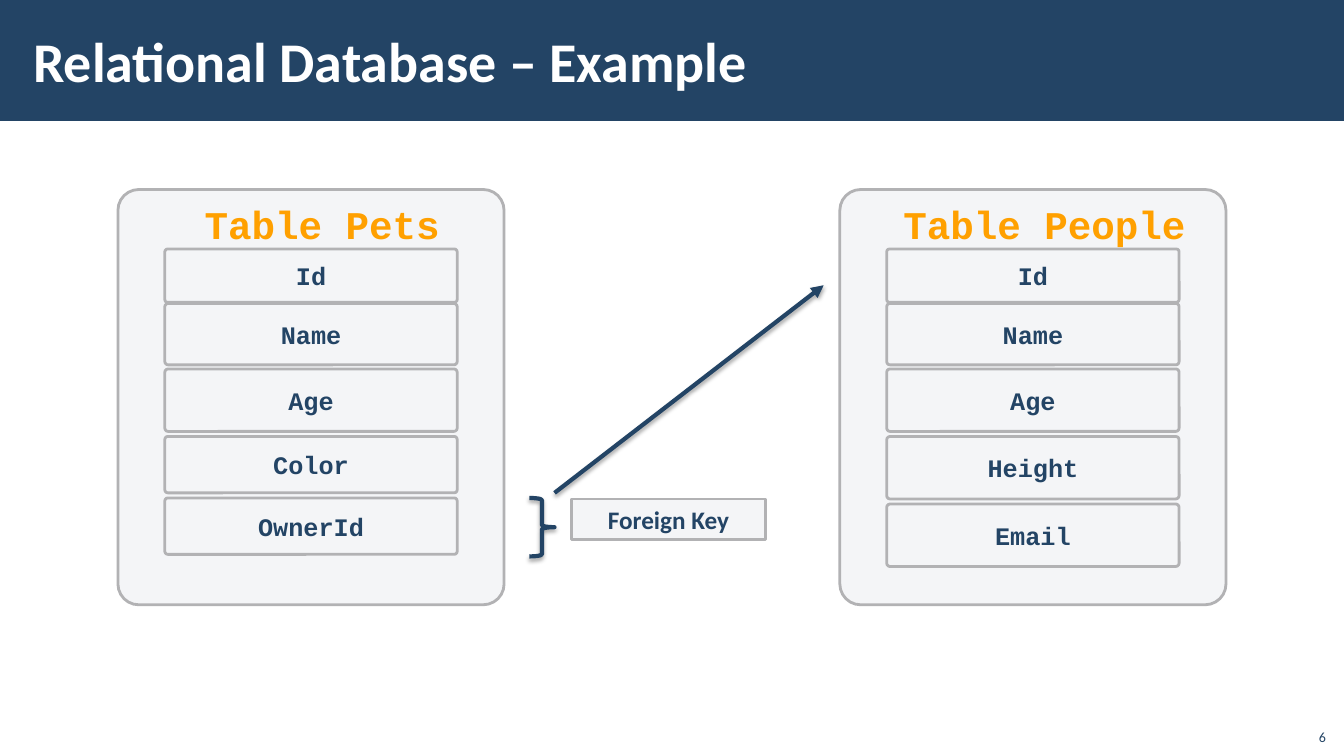
from lxml.etree import SubElement
from pptx import Presentation
from pptx.dml.color import RGBColor
from pptx.enum.shapes import MSO_CONNECTOR, MSO_SHAPE
from pptx.enum.text import MSO_ANCHOR, PP_ALIGN
from pptx.oxml.ns import qn
from pptx.util import Inches, Pt

NAVY = RGBColor(0x23, 0x44, 0x65)
ORANGE = RGBColor(0xFF, 0xA0, 0x00)
PALE = RGBColor(0xF4, 0xF5, 0xF7)
GREY = RGBColor(0xB2, 0xB2, 0xB4)
WHITE = RGBColor(0xFF, 0xFF, 0xFF)

TITLE = {"size": Pt(40), "name": "Calibri", "bold": True}
HEADING = {"size": Pt(28), "name": "Courier New", "bold": True}
FIELD = {"size": Pt(18), "name": "Courier New", "bold": True}
LABEL = {"size": Pt(18), "name": "Calibri", "bold": True}
NUMBER = {"size": Pt(10), "name": "Calibri", "bold": False}


def add_box(kind, left, top, width, height, fill=PALE, line=GREY, weight=2, corner=None):
    """Add a preset shape, or a plain text box when kind is None."""
    area = [Inches(length) for length in (left, top, width, height)]
    if kind is None:
        return page.shapes.add_textbox(*area)
    box = page.shapes.add_shape(kind, *area)
    box.shadow.inherit = False
    for part, color in ((box.fill, fill), (box.line.fill, line)):
        if color is None:
            part.background()
        else:
            part.solid()
            part.fore_color.rgb = color
    if line is not None:
        box.line.width = Pt(weight)
    if corner is not None:
        box.adjustments[0] = corner
    return box


def write(box, text, style, color, align=PP_ALIGN.CENTER, anchor=MSO_ANCHOR.MIDDLE, indent=0.1):
    frame = box.text_frame
    layout = {"word_wrap": True, "vertical_anchor": anchor, "margin_left": Inches(indent),
              "margin_right": Inches(0.1), "margin_top": Inches(0.05), "margin_bottom": Inches(0.05)}
    for name, value in layout.items():
        setattr(frame, name, value)
    para = frame.paragraphs[0]
    para.alignment = align
    span = para.add_run()
    span.text = text
    for name, value in style.items():
        setattr(span.font, name, value)
    span.font.color.rgb = color


deck = Presentation()
deck.slide_width, deck.slide_height = Inches(13.33), Inches(7.5)
page = deck.slides.add_slide(deck.slide_layouts[6])

# Title band
add_box(MSO_SHAPE.RECTANGLE, 0, 0, 13.33, 1.2, fill=NAVY, line=None)
write(add_box(None, 0.21, 0.11, 10.63, 0.97), "Relational Database – Example",
      TITLE, WHITE, PP_ALIGN.LEFT, indent=0.12)

# Tables: panel left edge, heading, heading indent, fields, height and gap of the last two rows
tables = [
    (1.17, "Table Pets", 0.8, ["Id", "Name", "Age", "Color", "OwnerId"], 0.56),
    (8.33, "Table People", 0.57, ["Id", "Name", "Age", "Height", "Email"], 0.62),
]
for left, heading, indent, fields, last_height in tables:
    panel = add_box(MSO_SHAPE.ROUNDED_RECTANGLE, left, 1.88, 3.83, 4.12, corner=0.054)
    write(panel, heading, HEADING, ORANGE, PP_ALIGN.LEFT, MSO_ANCHOR.TOP, indent)
    heights = [0.53, 0.61, 0.62, last_height, last_height]
    gaps = [0.01, 0.04, 0.05, 0.05, 0]
    top = 2.47
    for field, height, gap in zip(fields, heights, gaps):
        row = add_box(MSO_SHAPE.ROUNDED_RECTANGLE, left + 0.465, top, 2.9, height, corner=0.053)
        write(row, field, FIELD, NAVY)
        top += height + gap

# Foreign key: brace, label and arrow to the other table
brace = add_box(MSO_SHAPE.RIGHT_BRACE, 5.25, 4.94, 0.25, 0.58, fill=None, line=NAVY, weight=3)
label = add_box(MSO_SHAPE.RECTANGLE, 5.67, 4.95, 1.92, 0.4)
write(label, "Foreign Key", LABEL, NAVY, anchor=MSO_ANCHOR.TOP)

arrow = page.shapes.add_connector(MSO_CONNECTOR.STRAIGHT, Inches(5.5), Inches(4.89),
                                  Inches(8.17), Inches(2.83))
arrow.line.color.rgb = NAVY
arrow.line.width = Pt(3)
properties = arrow._element.spPr
SubElement(properties.find(qn("a:ln")), qn("a:tailEnd"), type="triangle")
SubElement(properties, qn("a:effectLst"))

# Soft shadow below the brace and the arrow
for item in (brace, arrow):
    effects = item._element.spPr.find(qn("a:effectLst"))
    shadow = SubElement(effects, qn("a:outerShdw"), blurRad=str(Pt(3.1)), dist=str(Pt(1.8)),
                        dir="5400000", rotWithShape="0")
    shade = SubElement(shadow, qn("a:srgbClr"), val="000000")
    SubElement(shade, qn("a:alpha"), val="35000")

# Slide number
write(add_box(None, 12.85, 7.12, 0.4, 0.32), "6", NUMBER, NAVY, PP_ALIGN.RIGHT, MSO_ANCHOR.BOTTOM)

deck.save("out.pptx")
